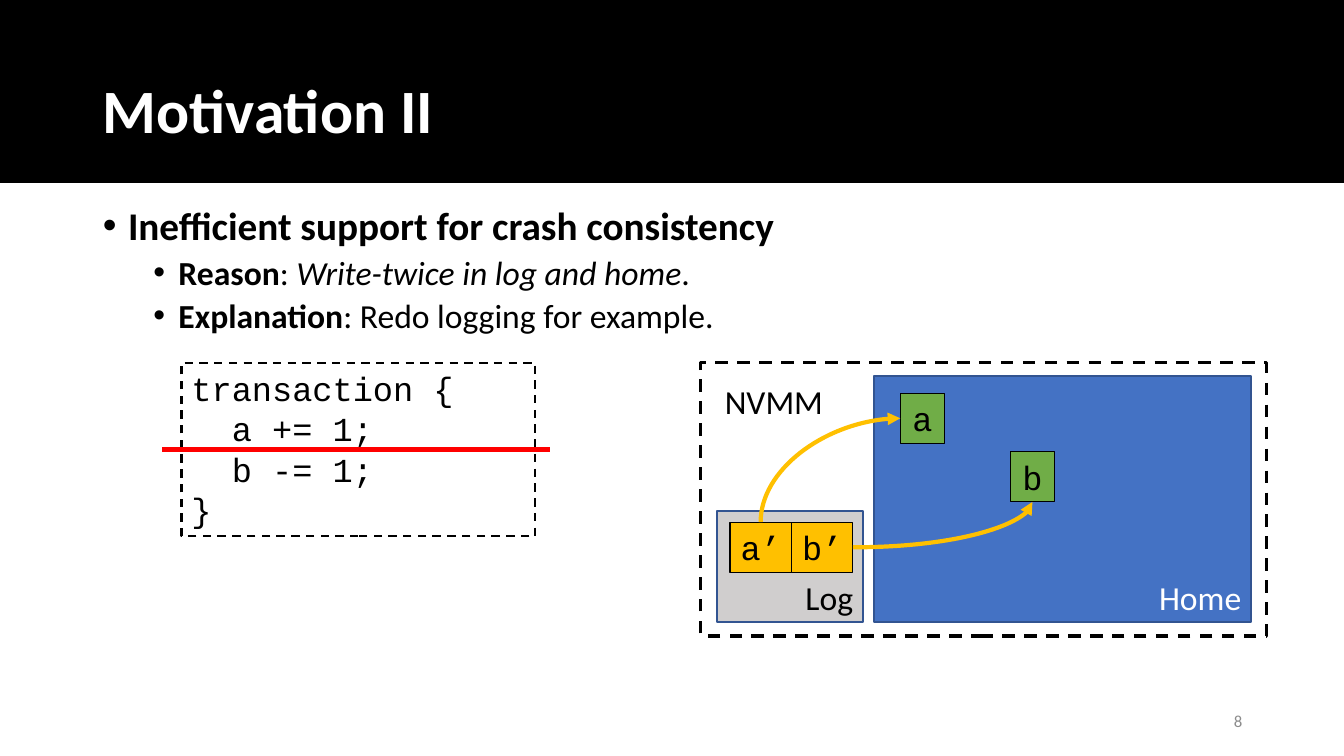
import pptx
import pptx.util
import pptx.dml.color
import pptx.enum.dml
import pptx.enum.shapes
import pptx.enum.text
import pptx.oxml
import pptx.oxml.ns

TITLE = "Motivation II"
# (level, [(text, style)])
BULLETS = [
    (0, [("Inefficient support for crash consistency", "bold")]),
    (1, [("Reason", "bold"), (": ", ""), ("Write-twice in log and home", "italic"), (".", "")]),
    (1, [("Explanation", "bold"), (": Redo logging for example.", "")]),
]
CODE = "transaction {\n  a += 1;\n  b -= 1;\n}"
PAGE = "8"
SANS, MONO = "Calibri", "Courier New"
BLACK, WHITE, AMBER, GREEN, NAVY = "000000", "FFFFFF", "FFC000", "70AD47", "325491"
WIDTH, HEIGHT = 13.33, 7.5
MARGIN, CONTENT_WIDTH = 0.92, 11.5
DIAGRAM_TOP, REGION_BOTTOM, CELL_HEIGHT = 3.6, 6.17, 0.5
ALIGN = pptx.enum.text.PP_ALIGN
ANCHOR = pptx.enum.text.MSO_ANCHOR
inches = pptx.util.Inches


def rgb(value):
    return pptx.dml.color.RGBColor.from_string(value)


def xml(tag, **attributes):
    node = pptx.oxml.parse_xml(f'<a:{tag} {pptx.oxml.ns.nsdecls("a")}/>')
    for key, value in attributes.items():
        node.set(key, value)
    return node


def style(font, size, color=BLACK, face=SANS):
    font.size, font.name = pptx.util.Pt(size), face
    font.color.rgb = rgb(color)


def write(holder, text, size=24, color=BLACK, face=SANS, align=ALIGN.LEFT, anchor=ANCHOR.MIDDLE):
    frame = holder.text_frame
    frame.text, frame.vertical_anchor, frame.word_wrap = text, anchor, False
    for paragraph in frame.paragraphs:
        paragraph.alignment = align
        for run in paragraph.runs:
            style(run.font, size, color, face)


def place(holder, left, top, width, height):
    holder.left, holder.top = inches(left), inches(top)
    holder.width, holder.height = inches(width), inches(height)


def box(left, top, width, height, fill=None, line=BLACK, weight=1, dashed=False):
    shape = slide.shapes.add_shape(pptx.enum.shapes.MSO_SHAPE.RECTANGLE,
                                   *map(inches, (left, top, width, height)))
    shape.shadow.inherit = False
    if fill:
        shape.fill.solid()
        shape.fill.fore_color.rgb = rgb(fill)
    else:
        shape.fill.background()
    shape.line.color.rgb = rgb(line)
    shape.line.width = pptx.util.Pt(weight)
    if dashed:
        shape.line.dash_style = pptx.enum.dml.MSO_LINE.DASH
    return shape


def cell(name, left, top, width, fill):
    shape = box(left, top, width, CELL_HEIGHT, fill, weight=0.75)
    write(shape, name, face=MONO, align=ALIGN.CENTER)


def label(text, left, top, width, height, **look):
    holder = slide.shapes.add_textbox(*map(inches, (left, top, width, height)))
    write(holder, text, **look)


def connect(kind, start, end, color, arrow=None):
    line = slide.shapes.add_connector(kind, *map(inches, start + end))
    line.line.color.rgb, line.line.width = rgb(color), pptx.util.Pt(3)
    properties = line.element.spPr
    if arrow:
        # One quarter-bend: leaves sideways, arrives vertically
        properties.find(pptx.oxml.ns.qn("a:prstGeom")).set("prst", "curvedConnector2")
        properties.find(pptx.oxml.ns.qn("a:ln")).append(xml(arrow, type="triangle"))
    properties.append(xml("effectLst"))


deck = pptx.Presentation()
deck.slide_width, deck.slide_height = inches(WIDTH), inches(HEIGHT)
slide = deck.slides.add_slide(deck.slide_layouts[1])
title, body = slide.placeholders

band = box(0, 0, WIDTH, 1.81, BLACK)
slide.shapes.element.insert(2, band.element)  # behind the title

place(title, MARGIN, 0.4, CONTENT_WIDTH, 1.45)
write(title, TITLE, 44, WHITE)
title.text_frame.paragraphs[0].line_spacing = 0.9
title.text_frame.paragraphs[0].runs[0].font.bold = True

place(body, MARGIN, 2, CONTENT_WIDTH, 4.76)
body.text_frame.auto_size = pptx.enum.text.MSO_AUTO_SIZE.NONE
body.text_frame.text = "\n".join("" for _ in BULLETS)
for row, (paragraph, (level, parts)) in enumerate(zip(body.text_frame.paragraphs, BULLETS)):
    paragraph.level, paragraph.line_spacing = level, 0.9
    paragraph.space_before = pptx.util.Pt(5 if row else 0)
    properties = paragraph._p.get_or_add_pPr()
    properties.set("marL", str(inches(0.25 + 0.5 * level)))
    properties.set("indent", str(inches(-0.25)))
    properties.append(xml("buFont", typeface="Arial"))
    properties.append(xml("buChar", char="•"))
    for text, emphasis in parts:
        run = paragraph.add_run()
        run.text = text
        style(run.font, 24 if level else 28)
        run.font.bold, run.font.italic = emphasis == "bold", emphasis == "italic"

label(PAGE, 9.42, 6.95, 3, 0.4, size=12, color="8C8C8C", align=ALIGN.RIGHT)

code = box(1.8, DIAGRAM_TOP, 3.51, 1.72, weight=1.5, dashed=True)
write(code, CODE, face=MONO, anchor=ANCHOR.TOP)

# Memory diagram: home and log regions inside the dashed frame
label("NVMM", 7.09, 3.73, 1.46, CELL_HEIGHT)
for name, left, top, width, fill, color in [("Home", 8.67, 3.73, 3.74, "4472C4", WHITE),
                                            ("Log", 7.11, 5.07, 1.45, "D0CECE", BLACK)]:
    region = box(left, top, width, REGION_BOTTOM - top, fill, NAVY)
    write(region, name, color=color, align=ALIGN.RIGHT, anchor=ANCHOR.BOTTOM)
box(6.95, DIAGRAM_TOP, 5.61, 2.71, weight=2.25, dashed=True)

LOG_LEFT, LOG_TOP, LOG_CELL, HOME_CELL = 7.24, 5.18, 0.61, 0.44
A_LEFT, A_TOP, B_LEFT, B_TOP = 8.93, 3.9, 10.02, 4.48
for column, name in enumerate(("a’", "b’")):
    cell(name, LOG_LEFT + column * LOG_CELL, LOG_TOP, LOG_CELL, AMBER)
cell("a", A_LEFT, A_TOP, HOME_CELL, GREEN)
cell("b", B_LEFT, B_TOP, HOME_CELL, GREEN)

CONNECTOR = pptx.enum.shapes.MSO_CONNECTOR
half = CELL_HEIGHT / 2
connect(CONNECTOR.CURVE, (A_LEFT, A_TOP + half), (LOG_LEFT + LOG_CELL / 2, LOG_TOP), AMBER, "headEnd")
connect(CONNECTOR.CURVE, (LOG_LEFT + 2 * LOG_CELL, LOG_TOP + half),
        (B_LEFT + HOME_CELL / 2, B_TOP + CELL_HEIGHT), AMBER, "tailEnd")
connect(CONNECTOR.STRAIGHT, (1.61, 4.46), (5.46, 4.46), "FF0000")

deck.save("out.pptx")
